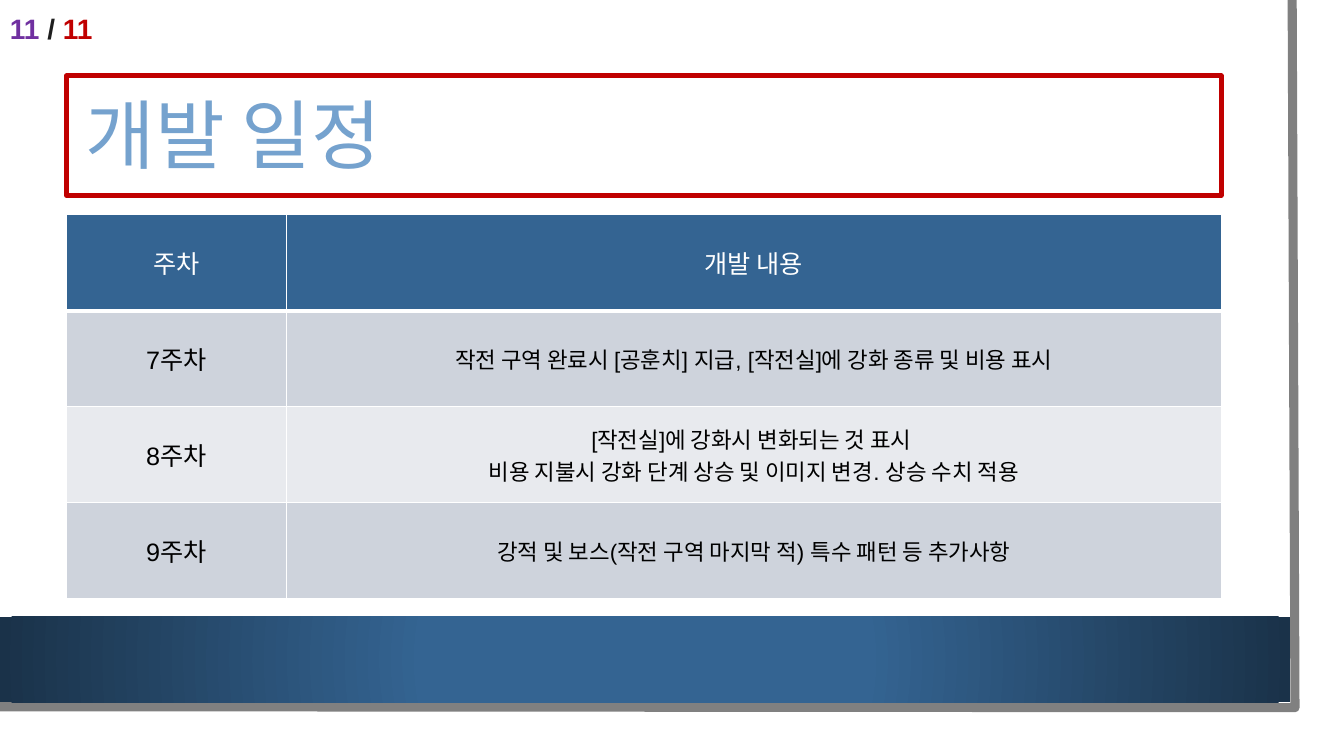
from lxml.etree import SubElement
from pptx import Presentation
from pptx.dml.color import RGBColor
from pptx.enum.shapes import MSO_SHAPE as Shape
from pptx.enum.text import MSO_ANCHOR as Anchor, PP_ALIGN as Align
from pptx.oxml import parse_xml
from pptx.oxml.ns import nsdecls, qn
from pptx.util import Pt

WHITE = RGBColor(0xFF, 0xFF, 0xFF)
BLACK = RGBColor(0, 0, 0)
INK = RGBColor(0x1E, 0x1E, 0x1E)
GRAY = RGBColor(0x80, 0x80, 0x80)
RED = RGBColor(0xC0, 0, 0)
PURPLE = RGBColor(0x70, 0x30, 0xA0)
BLUE = RGBColor(0x34, 0x64, 0x92)
NAVY = RGBColor(0x1A, 0x32, 0x49)
SKY = RGBColor(0x75, 0xA2, 0xCE)
BANDS = (RGBColor(0xCE, 0xD3, 0xDC), RGBColor(0xE8, 0xEA, 0xEE))
FONT = "Arial"

# Content
TITLE = "개발 일정"
PAGE_RUNS = [("11", PURPLE), (" / ", INK), ("11", RED)]
HEADER = ("주차", ["개발 내용"])
WEEKS = [
    ("7주차", ["작전 구역 완료시 [공훈치] 지급, [작전실]에 강화 종류 및 비용 표시"]),
    ("8주차", ["[작전실]에 강화시 변화되는 것 표시 ",
             "비용 지불시 강화 단계 상승 및 이미지 변경. 상승 수치 적용"]),
    ("9주차", ["강적 및 보스(작전 구역 마지막 적) 특수 패턴 등 추가사항"]),
]

# Layout, in points
LEFT = 47.5
COLUMNS = (157, 668)
WIDTH = sum(COLUMNS)
ROW_HEIGHT = 68.6
EDGE = [(923, 0), (925, 505.5), (-2, 504.8)]


def add_run(paragraph, text, size, color, bold=False):
    run = paragraph.add_run()
    run.text = text
    font = run.font
    font.name, font.size, font.bold = FONT, Pt(size), bold
    font.color.rgb = color


def add_box(slide, left, top, width, height, fill=None):
    shape = slide.shapes.add_shape(
        Shape.RECTANGLE, Pt(left), Pt(top), Pt(width), Pt(height))
    shape.shadow.inherit = False
    shape.line.fill.background()
    if fill is None:
        shape.fill.background()
    else:
        shape.fill.solid()
        shape.fill.fore_color.rgb = fill
    return shape


def add_text(slide, left, top, width, height):
    frame = slide.shapes.add_textbox(
        Pt(left), Pt(top), Pt(width), Pt(height)).text_frame
    frame.word_wrap = True
    frame.vertical_anchor = Anchor.MIDDLE
    return frame.paragraphs[0]


def fill_radial(shape, center, rim):
    properties = shape.element.spPr
    gradient = parse_xml(
        f'<a:gradFill {nsdecls("a")} rotWithShape="1"><a:gsLst>'
        f'<a:gs pos="34000"><a:srgbClr val="{center}"/></a:gs>'
        f'<a:gs pos="100000"><a:srgbClr val="{rim}"/></a:gs></a:gsLst>'
        '<a:path path="circle"><a:fillToRect l="50000" t="50000" r="50000" b="50000"/>'
        '</a:path></a:gradFill>')
    properties.replace(properties.find(qn("a:solidFill")), gradient)


def fill_cell(cell, lines, size, color, fill, bottom):
    properties = cell._tc.get_or_add_tcPr()
    for side, width in (("L", 1), ("R", 1), ("T", 1), ("B", bottom)):
        border = SubElement(properties, qn(f"a:ln{side}"), w=str(Pt(width)))
        solid = SubElement(border, qn("a:solidFill"))
        SubElement(solid, qn("a:srgbClr"), val=str(WHITE))
    cell.fill.solid()
    cell.fill.fore_color.rgb = fill
    cell.vertical_anchor = Anchor.MIDDLE
    frame = cell.text_frame
    for index, line in enumerate(lines):
        paragraph = frame.add_paragraph() if index else frame.paragraphs[0]
        paragraph.alignment = Align.CENTER
        add_run(paragraph, line, size, color)


def add_schedule(slide):
    rows = [HEADER] + WEEKS
    table = slide.shapes.add_table(
        len(rows), len(COLUMNS), Pt(LEFT), Pt(153.4),
        Pt(WIDTH), Pt(ROW_HEIGHT * len(rows))).table
    for column, width in zip(table.columns, COLUMNS):
        column.width = Pt(width)
    for index, (week, tasks) in enumerate(rows):
        table.rows[index].height = Pt(ROW_HEIGHT)
        if index == 0:
            color, fill, task_size, bottom = WHITE, BLUE, 18, 3
        else:
            color, fill, task_size, bottom = BLACK, BANDS[(index - 1) % 2], 16, 1
        fill_cell(table.cell(index, 0), [week], 18, color, fill, bottom)
        fill_cell(table.cell(index, 1), tasks, task_size, color, fill, bottom)


def main():
    presentation = Presentation()
    presentation.slide_width, presentation.slide_height = Pt(960), Pt(540)
    slide = presentation.slides.add_slide(presentation.slide_layouts[6])

    # Page panel, gray edge and bottom bar
    add_box(slide, 0, 0, 943, 523.5, WHITE)
    corners = [(Pt(x), Pt(y)) for x, y in EDGE]
    builder = slide.shapes.build_freeform(*corners[0])
    builder.add_line_segments(corners[1:], close=False)
    edge = builder.convert_to_shape()
    edge.shadow.inherit = False
    edge.fill.background()
    edge.line.color.rgb = GRAY
    edge.line.width = Pt(6.5)
    fill_radial(add_box(slide, 0, 440.6, 921.6, 61.2, BLUE), BLUE, NAVY)

    # Title in its frame
    title = add_text(slide, 54, 54, 818.5, 90.7)
    title.line_spacing = 0.9
    add_run(title, TITLE, 54, SKY)
    frame = add_box(slide, LEFT, 54, WIDTH, 85.7)
    frame.line.color.rgb = RED
    frame.line.width = Pt(3)
    SubElement(frame.line._get_or_add_ln(), qn("a:round"))

    # Page number
    number = add_text(slide, 0, 0, 92, 36)
    number.line_spacing = 1.2
    number.space_before = Pt(10)
    for text, color in PAGE_RUNS:
        add_run(number, text, 20, color, bold=True)

    add_schedule(slide)
    presentation.save("out.pptx")


if __name__ == "__main__":
    main()
